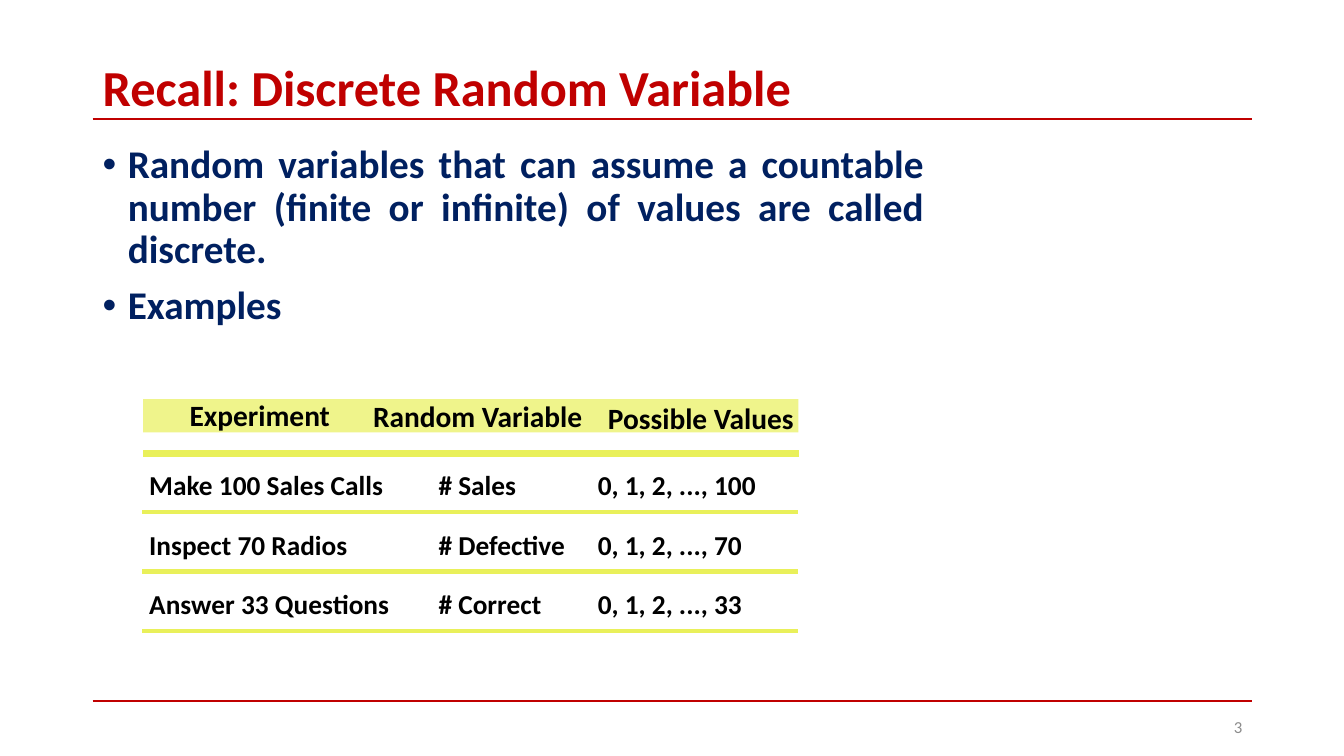
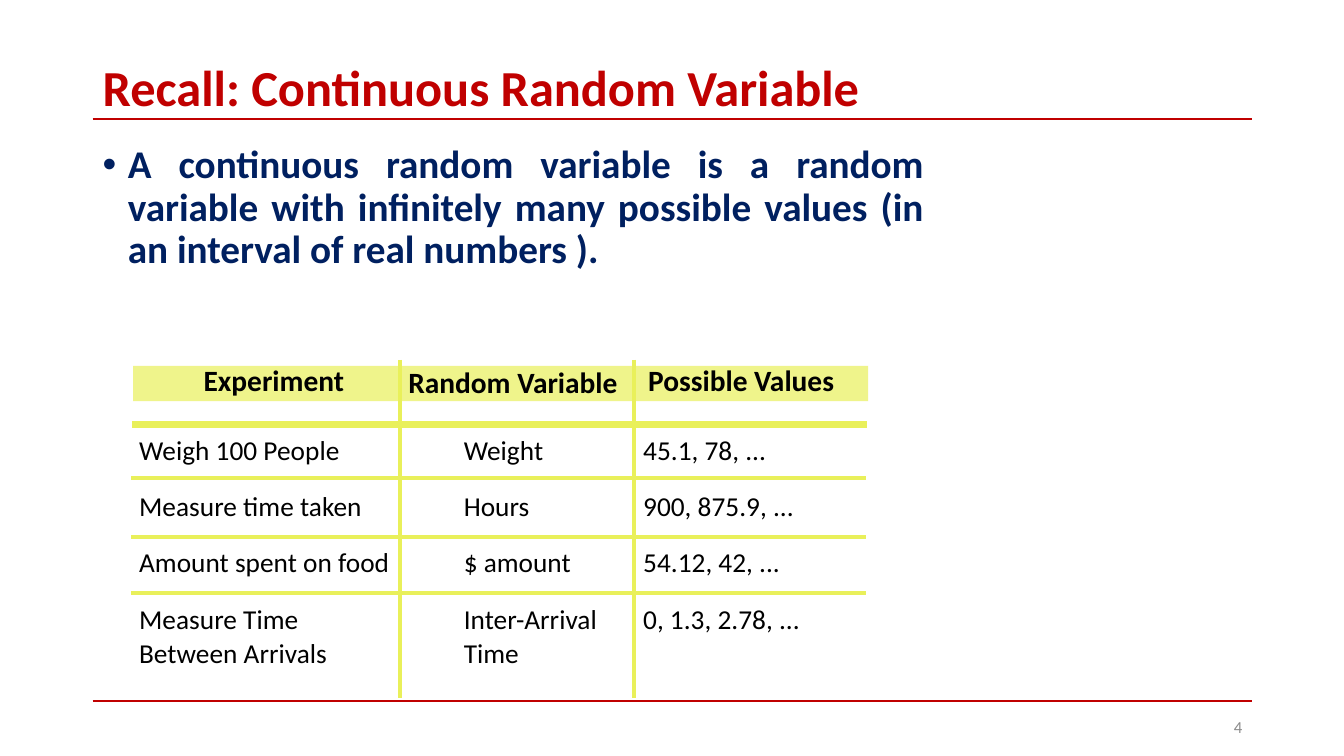
"""Build two recap slides on discrete and continuous random variables."""
from itertools import pairwise
from lxml.etree import SubElement
from pptx import Presentation
from pptx.dml.color import RGBColor
from pptx.enum.shapes import MSO_CONNECTOR, MSO_SHAPE
from pptx.enum.text import MSO_ANCHOR, PP_ALIGN
from pptx.oxml.ns import qn
from pptx.util import Inches, Pt

HUES = {"red": "C00000", "navy": "002060", "gray": "8C8C8C",
        "black": "000000", "lime": "E9F05A"}
FONTS = {
    "title": ("red", {"size": Pt(36), "bold": True}),
    "body": ("navy", {"size": Pt(28), "bold": True}),
    "page": ("gray", {"size": Pt(12), "bold": False}),
    "head": ("black", {"size": Pt(21), "bold": True}),
    "strong": ("black", {"size": Pt(19.5), "bold": True}),
    "plain": ("black", {"size": Pt(19.5), "bold": False}),
}
PARAS = {
    "title": {"line_spacing": 0.9},
    "body": {"line_spacing": 0.9, "space_before": Pt(10),
             "alignment": PP_ALIGN.JUSTIFY},
    "page": {"alignment": PP_ALIGN.RIGHT},
}
LEFT, WIDE = 0.92, 11.5
HEADS = ["Experiment", "Random Variable", "Possible Values"]


def assign(item, values):
    for key, value in values.items():
        setattr(item, key, value)


class Deck:
    def __init__(self):
        self.file = Presentation()
        assign(self.file, {"slide_width": Inches(13.33),
                           "slide_height": Inches(7.5)})
        self.slide = None

    def page(self, title, points, number):
        self.slide = self.file.slides.add_slide(self.file.slide_layouts[6])
        for y in (1.18, 6.95):
            self.line((LEFT, y, LEFT + WIDE, y), "red", 1.5)
        self.text((LEFT, 0.6, WIDE, 0.58), [title], "title")
        self.text((LEFT, 1.39, 8.34, 5.37), points, "body", MSO_ANCHOR.TOP)
        self.text((9.42, 7.01, 3, 0.4), [str(number)], "page")

    def line(self, ends, hue, width):
        link = self.slide.shapes.add_connector(MSO_CONNECTOR.STRAIGHT,
                                               *map(Inches, ends))
        link.line.color.rgb = RGBColor.from_string(HUES[hue])
        link.line.width = Pt(width)
        SubElement(link._element.spPr, qn("a:effectLst"))

    def style(self, frame, kind):
        hue, look = FONTS[kind]
        for para in frame.paragraphs:
            assign(para, PARAS.get(kind, {}))
            for run in para.runs:
                assign(run.font, {"name": "Calibri", **look})
                run.font.color.rgb = RGBColor.from_string(HUES[hue])
            if kind == "body":
                self.bullet(para)

    def bullet(self, para):
        props = para._p.get_or_add_pPr()
        indent = Inches(0.25)
        props.set("marL", str(indent))
        props.set("indent", str(-indent))
        SubElement(props, qn("a:buFont"), typeface="Arial")
        SubElement(props, qn("a:buChar"), char="•")

    def text(self, box, lines, kind, anchor=MSO_ANCHOR.MIDDLE):
        frame = self.slide.shapes.add_textbox(*map(Inches, box)).text_frame
        assign(frame, {"word_wrap": True, "vertical_anchor": anchor,
                       "text": "\n".join(lines)})
        self.style(frame, kind)

    def band(self, *box):
        shape = self.slide.shapes.add_shape(MSO_SHAPE.RECTANGLE,
                                            *map(Inches, box))
        shape.shadow.inherit = False
        shape.line.fill.background()
        shape.fill.solid()
        shape.fill.fore_color.rgb = RGBColor.from_string(HUES["lime"])
        color = shape._element.spPr.find(".//" + qn("a:srgbClr"))
        SubElement(color, qn("a:alpha"), val="70000")

    def clear(self, cell):
        props = cell._tc.get_or_add_tcPr()
        for side in "LRTB":
            SubElement(SubElement(props, qn("a:ln" + side), w="0"),
                       qn("a:noFill"))
        cell.fill.background()

    def rules(self, left, width, ys):
        shift = 0.01
        for y in ys:
            start = left + shift
            self.line((start, y, start + width, y), "lime",
                      4.5 if shift else 3)
            shift = 0

    def table(self, xs, ys, rows, starts, pads, tops, kind):
        last = len(xs) - 1
        grid = self.slide.shapes.add_table(
            len(rows), last, Inches(xs[0]), Inches(ys[0]),
            Inches(xs[-1] - xs[0]), Inches(ys[-1] - ys[0])).table
        for col, (a, b) in zip(grid.columns, pairwise(xs)):
            col.width = Inches(b - a)
        for row, (a, b) in zip(grid.rows, pairwise(ys)):
            row.height = Inches(b - a)
        for cell in grid.iter_cells():
            self.clear(cell)
        for r, words in enumerate(rows):
            part = min(r, 1)
            spans = pairwise([*starts[part], last])
            drops = [tops[r]] * len(words) if r else tops[0]
            for word, pad, drop, (a, b) in zip(words, pads[part], drops,
                                               spans):
                cell = grid.cell(r, a)
                if b - a > 1:
                    cell.merge(grid.cell(r, b - 1))
                assign(cell, {"margin_left": Inches(pad), "margin_right": 0,
                              "margin_top": Inches(drop),
                              "margin_bottom": 0, "text": word})
                self.style(cell.text_frame, kind if r else "head")


def main():
    deck = Deck()
    deck.page("Recall: Discrete Random Variable", [
        "Random variables that can assume a countable number (finite or "
        "infinite) of values are called discrete.", "Examples"], 3)
    deck.band(1.42, 3.96, 6.5, 0.33)
    ys = [3.93, 4.5, 5.08, 5.67, 6.26]
    deck.rules(1.41, 6.5, ys[1:])
    deck.table(
        [1.41, 3.62, 4.28, 5.86, 7.91], ys,
        [HEADS,
         ["Make 100 Sales Calls", "# Sales", "0, 1, 2, ..., 100"],
         ["Inspect 70 Radios", "# Defective", "0, 1, 2, ..., 70"],
         ["Answer 33 Questions", "# Correct", "0, 1, 2, ..., 33"]],
        [(0, 1, 3), (0, 2, 3)], [(0.47, 0.08, 0.17), (0.07, 0.07, 0.07)],
        [(0.02, 0.03, 0.05), 0.16, 0.17, 0.17], "strong")

    deck.page("Recall: Continuous Random Variable", [
        "A continuous random variable is a random variable with infinitely "
        "many possible values (in an interval of real numbers )."], 4)
    deck.band(1.32, 3.63, 7.29, 0.35)
    xs = [1.3, 3.97, 6.29, 8.59]
    ys = [3.57, 4.21, 4.74, 5.33, 5.88, 6.92]
    deck.rules(xs[0], 7.29, ys[1:-1])
    for x in xs[1:-1]:
        deck.line((x, ys[0], x, ys[-1]), "lime", 3)
    deck.table(
        xs, ys,
        [HEADS,
         ["Weigh 100 People", "Weight", "45.1, 78, ..."],
         ["Measure time taken", "Hours", "900, 875.9, ..."],
         ["Amount spent on food", "$ amount", "54.12, 42, ..."],
         ["Measure Time\nBetween Arrivals", "Inter-Arrival\nTime",
          "0, 1.3, 2.78, ..."]],
        [(0, 1, 2), (0, 1, 2)], [(0.72, 0.08, 0.14), (0.08, 0.63, 0.09)],
        [(0.04, 0.06, 0.04), 0.1, 0.13, 0.09, 0.11], "plain")
    deck.file.save("out.pptx")


if __name__ == "__main__":
    main()
